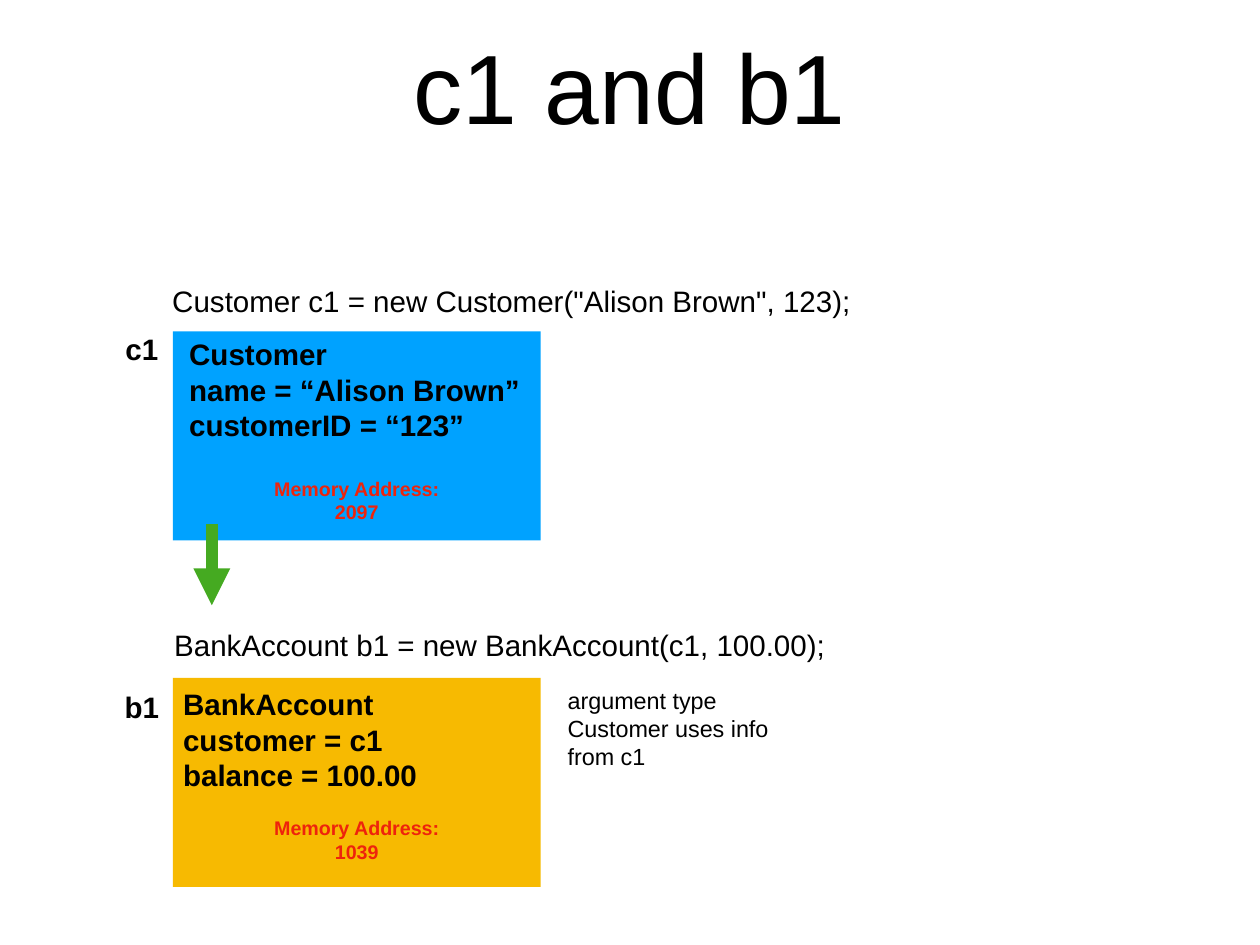
import pptx
import pptx.util
import pptx.dml.color
import pptx.enum.shapes
import pptx.enum.text
import pptx.oxml.ns
import lxml.etree

deck = pptx.Presentation()
deck.slide_width = pptx.util.Pt(1024)
deck.slide_height = pptx.util.Pt(768)
cell = deck.slide_width / 64  # grid of 64 columns by 48 rows
page = deck.slides.add_slide(deck.slide_layouts[5])
align = pptx.enum.text.PP_ALIGN


def tint(code):
    return pptx.dml.color.RGBColor.from_string(code)


def write(text, at, size=24, color="000000", bold=False, mid=False,
          wrap=False, shape=None):
    left, top, wide, high = [round(n * cell) for n in at]
    if shape is None:
        shape = page.shapes.add_textbox(left, top, wide, high)
    shape.left, shape.top, shape.width, shape.height = left, top, wide, high
    frame = shape.text_frame
    frame.text = text
    frame.word_wrap = wrap
    frame.auto_size = pptx.enum.text.MSO_AUTO_SIZE.NONE
    frame.vertical_anchor = pptx.enum.text.MSO_ANCHOR.MIDDLE
    frame.margin_left = frame.margin_right = pptx.util.Pt(4)
    frame.margin_top = frame.margin_bottom = pptx.util.Pt(4)
    for para in frame.paragraphs:
        para.alignment = align.CENTER if mid else align.LEFT
        font = para.runs[0].font
        font.name, font.size, font.bold = "Arial", pptx.util.Pt(size), bold
        font.color.rgb = tint(color)


# Title
write("c1 and b1", (4.68, -0.99, 54.63, 10.62), size=80, mid=True, wrap=True,
      shape=page.shapes.title)

# Objects: tag, fill, box top, tag top, memory top and number,
# then code and fields, each with its place
items = [
    ("c1", "00A2FF", 16.83, 16.6, 23.99, "2097",
     'Customer c1 = new Customer("Alison Brown", 123);',
     (8.5, 14.13, 35.37, 2.25),
     "Customer\nname = “Alison Brown”\ncustomerID = “123”",
     (9.36, 16.83, 17.55, 5.9)),
    ("b1", "F7BA01", 34.43, 34.79, 41.22, "1039",
     "BankAccount b1 = new BankAccount(c1, 100.00);",
     (8.6, 31.64, 33.93, 2.25),
     "BankAccount\ncustomer = c1\nbalance = 100.00",
     (9.05, 34.6, 12.51, 5.9)),
]
for tag, fill, top, tagtop, memtop, num, code, codeat, data, dataat in items:
    box = page.shapes.add_shape(
        pptx.enum.shapes.MSO_SHAPE.RECTANGLE,
        *[round(n * cell) for n in (8.78, top, 18.68, 10.62)])
    box.shadow.inherit = False
    box.fill.solid()
    box.fill.fore_color.rgb = tint(fill)
    box.line.fill.background()
    write(code, codeat)
    write(data, dataat, bold=True)
    write(tag, (6.08, tagtop, 2.25, 2.25), bold=True, mid=True)
    write("Memory Address: " + num, (12.92, memtop, 10.4, 2.84), size=16,
          color="EE230C", bold=True, mid=True, wrap=True)

# Side note
write("argument type Customer uses info from c1",
      (28.58, 34.6, 12.51, 4.77), size=19, wrap=True)

# Arrow from c1 down to b1
arrow = page.shapes.add_connector(
    pptx.enum.shapes.MSO_CONNECTOR.STRAIGHT,
    *[round(n * cell) for n in (10.76, 26.6, 10.76, 30.74)])
arrow.line.color.rgb = tint("45AA21")
arrow.line.width = pptx.util.Pt(10)
props = arrow.element.spPr
stroke = props.find(pptx.oxml.ns.qn("a:ln"))
lxml.etree.SubElement(stroke, pptx.oxml.ns.qn("a:tailEnd"), type="triangle")
lxml.etree.SubElement(props, pptx.oxml.ns.qn("a:effectLst"))

deck.save("out.pptx")
